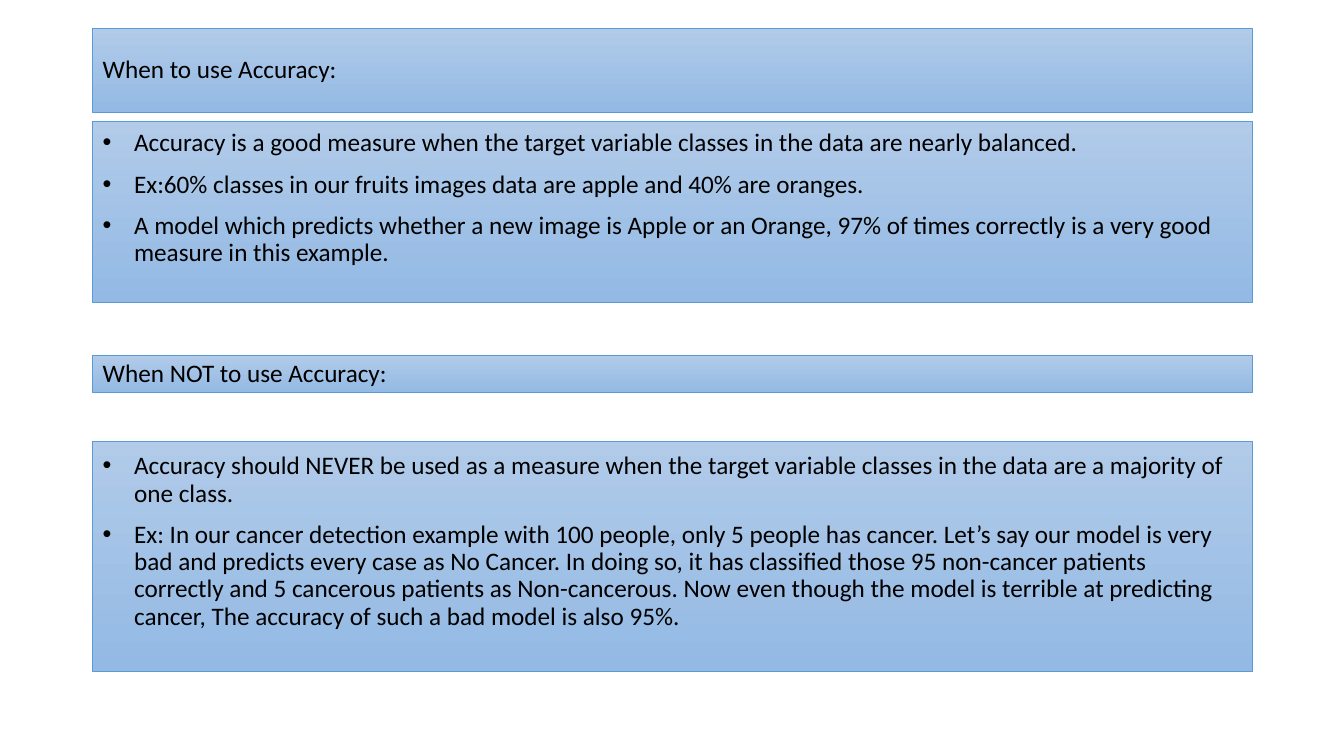
from lxml.etree import SubElement
from pptx import Presentation
from pptx.dml.color import RGBColor
from pptx.enum.shapes import MSO_SHAPE as Preset
from pptx.enum.text import MSO_ANCHOR as Anchor, PP_ALIGN as Align
from pptx.oxml.ns import qn
from pptx.util import Cm, Pt

COLORS = {"top": "B1CBE9", "bottom": "93B9E4", "border": "5B9BD5", "text": "000000"}
LEFT, WIDTH = Cm(2.34), Cm(29.21)
BULLET_INDENT = Cm(0.79)

USE_POINTS = [
    "Accuracy is a good measure when the target variable classes in the data are nearly balanced.",
    "Ex:60% classes in our fruits images data are apple and 40% are oranges.",
    "A model which predicts whether a new image is Apple or an Orange, 97% of times "
    "correctly is a very good measure in this example.",
]
AVOID_POINTS = [
    "Accuracy should NEVER be used as a measure when the target variable classes in the data "
    "are a majority of one class.",
    "Ex: In our cancer detection example with 100 people, only 5 people has cancer. Let’s say "
    "our model is very bad and predicts every case as No Cancer. In doing so, it has classified "
    "those 95 non-cancer patients correctly and 5 cancerous patients as Non-cancerous. Now even "
    "though the model is terrible at predicting cancer, The accuracy of such a bad model is "
    "also 95%.",
]


def rgb(name):
    return RGBColor.from_string(COLORS[name])


def add_panel(slide, top, height):
    panel = slide.shapes.add_shape(Preset.RECTANGLE, LEFT, top, WIDTH, height)
    panel.shadow.inherit = False
    panel.fill.gradient()
    panel.fill.gradient_angle = 270
    for stop, name, position in zip(panel.fill.gradient_stops, ("top", "bottom"), (0, 1)):
        stop.color.rgb = rgb(name)
        stop.position = position
    panel.line.color.rgb = rgb("border")
    panel.line.width = Pt(0.5)
    panel.text_frame.word_wrap = True
    return panel.text_frame


def style_paragraph(paragraph):
    paragraph.alignment = Align.LEFT
    paragraph.line_spacing = 0.9
    paragraph.space_before = Pt(10)
    paragraph.font.name = "Calibri"
    paragraph.font.size = Pt(18)
    paragraph.font.color.rgb = rgb("text")


def add_bullet(paragraph):
    properties = paragraph._p.get_or_add_pPr()
    properties.set("marL", str(BULLET_INDENT))
    properties.set("indent", str(-BULLET_INDENT))
    bullet_font = SubElement(properties, qn("a:buFont"))
    bullet_font.set("typeface", "Arial")
    bullet = SubElement(properties, qn("a:buChar"))
    bullet.set("char", "•")
    default_font = properties.find(qn("a:defRPr"))
    if default_font is not None:
        properties.append(default_font)


def add_heading(slide, text, top, height):
    frame = add_panel(slide, top, height)
    frame.vertical_anchor = Anchor.MIDDLE
    frame.text = text
    style_paragraph(frame.paragraphs[0])


def add_points(slide, points, top, height, inset):
    frame = add_panel(slide, top, height)
    frame.vertical_anchor = Anchor.TOP
    frame.margin_top = inset
    frame.text = "\n".join(points)
    for paragraph in frame.paragraphs:
        style_paragraph(paragraph)
        add_bullet(paragraph)


def main():
    deck = Presentation()
    deck.slide_width, deck.slide_height = Cm(33.87), Cm(19.05)
    slide = deck.slides.add_slide(deck.slide_layouts[6])
    add_heading(slide, "When to use Accuracy:", Cm(0.71), Cm(2.12))
    add_points(slide, USE_POINTS, Cm(3.07), Cm(4.54), Cm(0.21))
    add_heading(slide, "When NOT to use Accuracy:", Cm(8.95), Cm(0.95))
    add_points(slide, AVOID_POINTS, Cm(11.11), Cm(5.81), Cm(0.31))
    deck.save("out.pptx")


if __name__ == "__main__":
    main()
